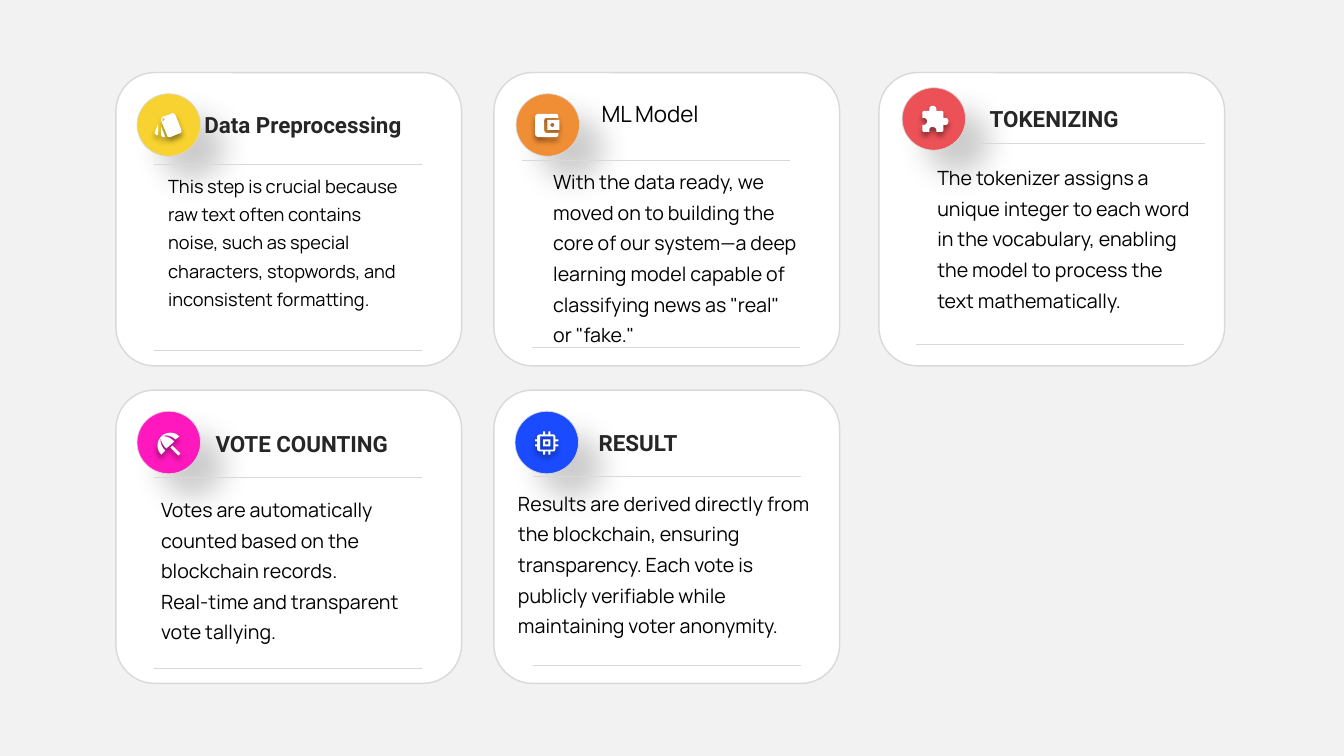
"""Build a slide of five process cards, each with a badge, heading, rules and body text."""
from dataclasses import dataclass

from lxml.etree import SubElement
from pptx import Presentation
from pptx.dml.color import RGBColor
from pptx.enum.shapes import MSO_CONNECTOR as CONNECTOR, MSO_SHAPE as SHAPE
from pptx.enum.text import MSO_AUTO_SIZE as AUTO_SIZE
from pptx.oxml.ns import qn
from pptx.util import Pt

BACKGROUND = RGBColor(0xF2, 0xF2, 0xF2)
WHITE = RGBColor(0xFF, 0xFF, 0xFF)
BORDER = RGBColor(0xD9, 0xD9, 0xD9)
BLACK = RGBColor(0x00, 0x00, 0x00)
HEADING = RGBColor(0x26, 0x26, 0x26)
YELLOW = RGBColor(0xF8, 0xD2, 0x30)
ORANGE = RGBColor(0xF0, 0x8E, 0x35)
RED = RGBColor(0xEC, 0x51, 0x57)
PINK = RGBColor(0xFF, 0x18, 0xBD)
BLUE = RGBColor(0x1A, 0x4B, 0xFF)

COLUMNS = (82.8, 352.8, 627.84)
ROWS = (51.84, 278.64)
CARD_WIDTH, CARD_HEIGHT = 246.96, 209.52
RULE_WIDTH = 191.52
ICON_UNIT = 0.72
CURVE_STEPS = 6
BADGE_SHADOW = (20, 21, 23, 45)
ICON_SHADOW = (40, 4, 3, 90)

SWATCHES = (
    "7,22 7,14 11,24 9,24 8,24,7,23,7,22 / 9,8 10,8,10,7,10,7 10,6,10,5,9,5 "
    "8,5,8,6,8,7 8,7,8,8,9,8 / 27,17 27,18,27,20,26,20 16,24 16,24,16,24,15,24 "
    "14,24,13,24,13,23 7,8 7,7,7,7,7,7 7,6,7,5,8,4 17,1 18,0,18,0,18,0 "
    "19,0,20,1,21,2 / 2,22 1,21,0,20,1,18 4,11 4,22")
WALLET = (
    "17,13 18,13,19,12,19,11 19,10,18,9,17,9 16,9,15,10,15,11 15,12,16,13,17,13 / "
    "12,16 12,6 24,6 24,16 / 23,20 23,22,22,23,21,23 3,23 2,23,0,22,0,20 0,3 "
    "0,1,2,0,3,0 21,0 22,0,23,1,23,3 23,4 12,4 10,4,9,5,9,6 9,16 9,18,10,19,12,19 23,19")
PUZZLE = (
    "23,12 25,12,26,14,26,15 26,17,25,19,23,19 21,19 21,24 21,25,20,26,19,26 14,26 "
    "14,24 14,22,12,21,10,21 8,21,7,22,7,24 7,26 2,26 1,26,0,25,0,24 0,19 2,19 "
    "3,19,5,17,5,15 5,14,3,12,2,12 0,12 0,7 0,6,1,5,2,5 7,5 7,3 7,1,9,0,10,0 "
    "12,0,14,1,14,3 14,5 19,5 20,5,21,6,21,7 21,12")
UMBRELLA = (
    "19,8 15,4,10,3,5,5 9,4,14,6,18,10 10,17 6,13,4,9,5,5 3,10,5,15,9,19 5,23 "
    "0,18,0,10,5,5 10,0,18,0,23,5 / 14,16 16,14 24,22 22,24")
CHIP = (
    "18,18 18,5 5,5 5,18 / 23,10 20,10 20,13 23,13 23,15 20,15 20,18 "
    "20,19,19,20,18,20 15,20 15,23 13,23 13,20 10,20 10,23 8,23 8,20 5,20 "
    "4,20,2,19,2,18 2,15 0,15 0,13 2,13 2,10 0,10 0,8 2,8 2,5 2,4,4,3,5,3 8,3 8,0 "
    "10,0 10,3 13,3 13,0 15,0 15,3 18,3 19,3,20,4,20,5 20,8 23,8 / "
    "13,13 13,10 10,10 10,13 / 15,8 15,15 8,15 8,8")


@dataclass
class Card:
    """Hold the content and the places, in points, of one card."""
    column: int
    row: int
    color: RGBColor
    badge: tuple
    icon: str
    icon_at: tuple
    heading: str
    heading_at: tuple
    rules: tuple
    body: str
    body_box: tuple
    body_size: int = 14
    heading_font: tuple = ("Roboto", 16, HEADING, True)


CARDS = (
    Card(0, 0, YELLOW, (97.92, 66.96), SWATCHES, (110.16, 80.64),
         "Data Preprocessing", (138.96, 75.6),
         ((110.16, 117.36, RULE_WIDTH), (110.16, 250.56, RULE_WIDTH)),
         "This step is crucial because raw text often contains noise, such as special "
         "characters, stopwords, and inconsistent formatting.",
         (113.04, 116.64, 188.64, 128.88), 13),
    Card(1, 0, ORANGE, (368.64, 66.96), WALLET, (382.32, 81.36),
         "ML Model", (422.64, 67.68),
         ((372.96, 114.48, RULE_WIDTH), (380.16, 248.4, RULE_WIDTH)),
         "With the data ready, we moved on to building the core of our system—a deep "
         "learning model capable of classifying news as \"real\" or \"fake.\"",
         (388.08, 113.04, 188.64, 138.24),
         heading_font=("Manrope", 16, BLACK, False)),
    Card(2, 0, RED, (644.4, 62.64), PUZZLE, (658.8, 75.6),
         "TOKENIZING", (699.84, 71.28),
         ((697.68, 102.24, 162.72), (654.48, 246.24, RULE_WIDTH)),
         "The tokenizer assigns a unique integer to each word in the vocabulary, "
         "enabling the model to process the text mathematically.",
         (662.4, 110.16, 198, 138.24)),
    Card(0, 1, PINK, (97.92, 293.76), UMBRELLA, (111.6, 308.16),
         "VOTE COUNTING", (146.88, 303.84),
         ((110.16, 341.28, RULE_WIDTH), (110.16, 477.36, RULE_WIDTH)),
         "Votes are automatically counted based on the blockchain records.\n"
         "Real-time and transparent vote tallying.",
         (108, 347.04, 208.8, 115.92)),
    Card(1, 1, BLUE, (367.92, 293.76), CHIP, (382.32, 308.16),
         "RESULT", (420.48, 303.12),
         ((380.88, 340.56, RULE_WIDTH), (380.88, 475.2, RULE_WIDTH)),
         "Results are derived directly from the blockchain, ensuring transparency. "
         "Each vote is publicly verifiable while maintaining voter anonymity.",
         (362.88, 342.72, 226.8, 115.92)),
)


def add_shadow(shape, alpha, blur, distance, angle):
    """Give a shape a soft black outer shadow."""
    shape.shadow.inherit = False
    effects = shape._element.spPr.find(qn("a:effectLst"))
    shadow = SubElement(effects, qn("a:outerShdw"), blurRad=str(Pt(blur)),
                        dist=str(Pt(distance)), dir=str(angle * 60000),
                        algn="tl", rotWithShape="0")
    tint = SubElement(shadow, qn("a:srgbClr"), val="000000")
    SubElement(tint, qn("a:alpha"), val=str(alpha * 1000))


def add_outlined(slide, kind, box, fill, line_width):
    """Add a filled preset shape with a thin grey outline."""
    shape = slide.shapes.add_shape(kind, *map(Pt, box))
    shape.shadow.inherit = False
    shape.fill.solid()
    shape.fill.fore_color.rgb = fill
    shape.line.color.rgb = BORDER
    shape.line.width = Pt(line_width)
    return shape


def add_rule(slide, left, top, width):
    """Add a thin horizontal divider."""
    rule = slide.shapes.add_connector(
        CONNECTOR.STRAIGHT, Pt(left), Pt(top), Pt(left + width), Pt(top))
    rule.line.color.rgb = BORDER
    rule.line.width = Pt(0.5)
    SubElement(rule._element.spPr, qn("a:effectLst"))


def add_text(slide, box, text, font, spacing=None):
    """Add a wrapping text box in one font."""
    frame = slide.shapes.add_textbox(*map(Pt, box)).text_frame
    frame.word_wrap = True
    frame.auto_size = AUTO_SIZE.SHAPE_TO_FIT_TEXT
    frame.text = text
    for paragraph in frame.paragraphs:
        paragraph.line_spacing = spacing
        for run in paragraph.runs:
            run.font.name, size, run.font.color.rgb, run.font.bold = font
            run.font.size = Pt(size)


def trace(contour):
    """Turn one outline into points, flattening its cubic curves."""
    points = []
    for step in contour.split():
        numbers = [int(number) for number in step.split(",")]
        pairs = list(zip(numbers[::2], numbers[1::2]))
        if len(pairs) == 1:
            points += pairs
            continue
        curve = list(zip(points[-1], *pairs))
        for index in range(1, CURVE_STEPS + 1):
            t = index / CURVE_STEPS
            points.append(tuple(
                a * (1 - t) ** 3 + 3 * b * t * (1 - t) ** 2 + 3 * c * t * t * (1 - t) + d * t ** 3
                for a, b, c, d in curve))
    return [(Pt(x * ICON_UNIT), Pt(y * ICON_UNIT)) for x, y in points]


def add_icon(slide, outline, left, top):
    """Add a white freeform icon."""
    first, *others = [trace(contour) for contour in outline.split("/")]
    builder = slide.shapes.build_freeform(*first[0])
    builder.add_line_segments(first[1:])
    for contour in others:
        builder.move_to(*contour[0])
        builder.add_line_segments(contour[1:])
    icon = builder.convert_to_shape(Pt(left), Pt(top))
    icon.fill.solid()
    icon.fill.fore_color.rgb = WHITE
    icon.line.fill.background()
    add_shadow(icon, *ICON_SHADOW)


def add_card(slide, card):
    """Add one card with all its parts."""
    box = (COLUMNS[card.column], ROWS[card.row], CARD_WIDTH, CARD_HEIGHT)
    panel = add_outlined(slide, SHAPE.ROUNDED_RECTANGLE, box, WHITE, 1)
    panel.adjustments[0] = 0.132
    badge = add_outlined(slide, SHAPE.OVAL, (*card.badge, 45.36, 44.64), card.color, 0.5)
    add_shadow(badge, *BADGE_SHADOW)
    add_text(slide, (*card.heading_at, 174.96, 26.64), card.heading, card.heading_font)
    for rule in card.rules:
        add_rule(slide, *rule)
    add_icon(slide, card.icon, *card.icon_at)
    add_text(slide, card.body_box, card.body, ("Manrope", card.body_size, BLACK, False), 1.3)


def main():
    """Build and save the slide."""
    deck = Presentation()
    deck.slide_width, deck.slide_height = Pt(960), Pt(540)
    slide = deck.slides.add_slide(deck.slide_layouts[6])
    slide.background.fill.solid()
    slide.background.fill.fore_color.rgb = BACKGROUND
    for card in CARDS:
        add_card(slide, card)
    deck.save("out.pptx")


if __name__ == "__main__":
    main()
